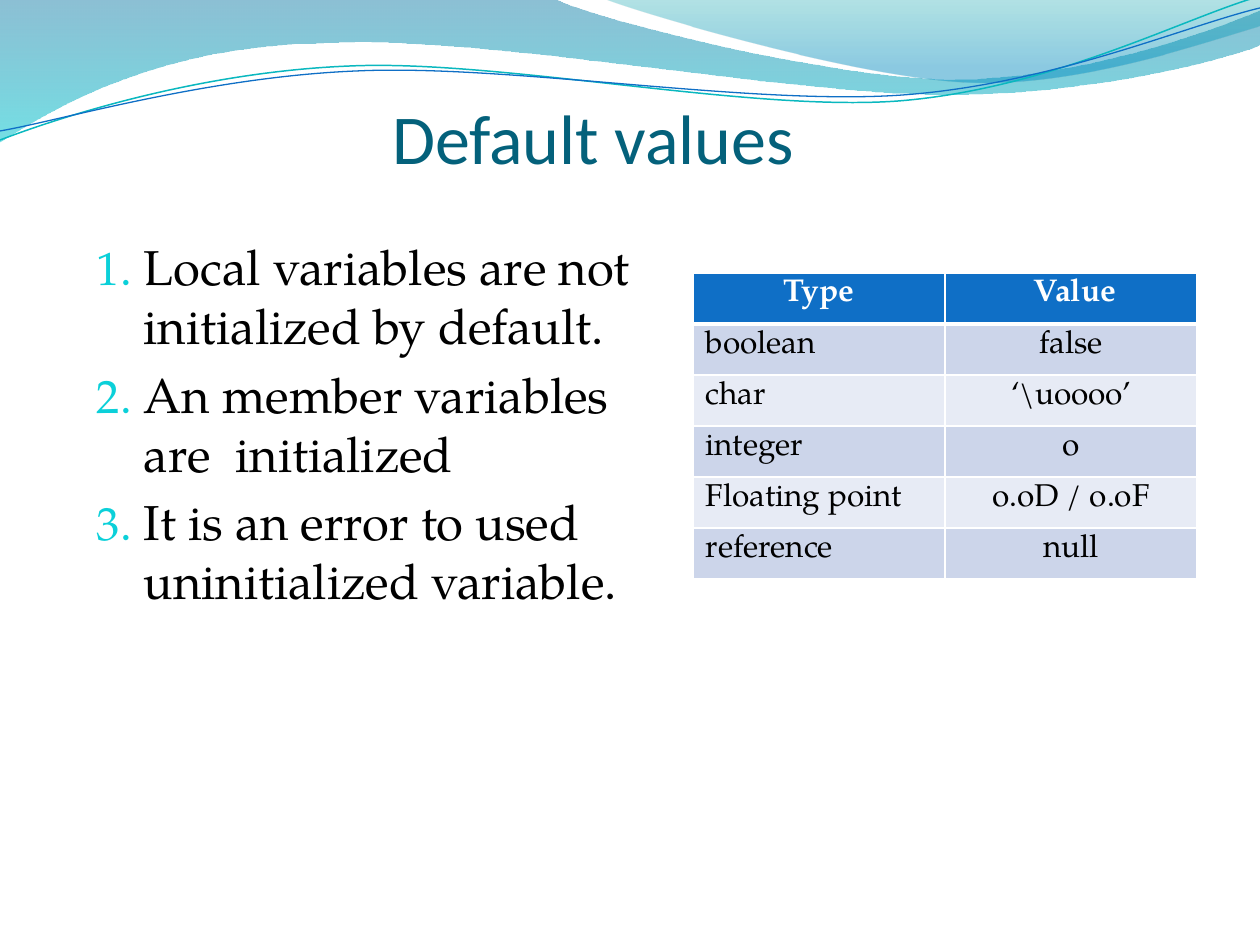
from lxml import etree
from pptx import Presentation
from pptx.dml.color import RGBColor
from pptx.enum.text import MSO_ANCHOR, PP_ALIGN
from pptx.oxml.ns import qn
from pptx.util import Pt

SCALE = 914400 / 126  # EMU per px
CENTER, LEFT = PP_ALIGN.CENTER, PP_ALIGN.LEFT
BOTTOM, TOP = MSO_ANCHOR.BOTTOM, MSO_ANCHOR.TOP

WHITE = RGBColor(0xFF, 0xFF, 0xFF)
BLACK = RGBColor(0x00, 0x00, 0x00)
TITLE_TEAL = RGBColor(0x04, 0x61, 0x7B)
NUMBER_CYAN = RGBColor(0x0B, 0xD0, 0xD9)
HEADER_BLUE = RGBColor(0x0F, 0x6F, 0xC6)
BAND_DARK = RGBColor(0xCC, 0xD5, 0xEA)
BAND_LIGHT = RGBColor(0xE7, 0xEB, 0xF5)
LINE_TEAL = RGBColor(0x0A, 0xB8, 0xBF)
WAVE_BLUE = RGBColor(0x00, 0x74, 0xA1)
WAVE_CYAN = RGBColor(0x00, 0xC6, 0xCF)
CREST_TEAL = RGBColor(0x00, 0xA1, 0xA9)
CREST_BLUE = RGBColor(0x00, 0x8B, 0xBF)

HEADING_FONT, BODY_FONT = "Calibri", "TeX Gyre Pagella"

# Outlines in px: a single point is a straight step, three points a cubic curve
WIDE_WAVE = [
    [(-1, -1)], [(554, -1)],
    [(600, 21), (837, 79), (955, 79)], [(1075, 79), (1207, 33), (1260, 11)],
    [(1261, 45)],
    [(1239, 55), (1096, 96), (940, 94)], [(784, 94), (481, 35), (324, 43)],
    [(163, 45), (58, 105), (-1, 142)],
]
CREST = [
    [(604, -1)],
    [(641, 14), (859, 78), (969, 82)], [(1079, 87), (1211, 40), (1260, 26)],
    [(1260, -1)],
]
TEAL_LINE = [
    [(0, 140)], [(60, 117), (199, 72), (349, 66)],
    [(498, 59), (747, 112), (898, 101)], [(1050, 89), (1182, 19), (1257, -3)],
]
BLUE_LINE = [
    [(0, 131)], [(59, 121), (207, 77), (357, 71)],
    [(508, 64), (752, 106), (903, 95)], [(1053, 84), (1185, 26), (1260, 8)],
]

RULES = [
    "Local variables are not initialized by default.",
    "An member variables are  initialized",
    "It is an error to used uninitialized variable.",
]
DEFAULTS = [
    ("Type", " Value"),
    ("boolean", "false"),
    ("char", "‘\\uoooo’"),
    ("integer", "o"),
    ("Floating point", "o.oD / o.oF"),
    ("reference", "null"),
]


def px(length):
    return round(length * SCALE)


def add_outline(slide, outline, closed):
    """Build the outline through its end points, then bend the curved steps."""
    steps = [[(px(x), px(y)) for x, y in step] for step in outline]
    builder = slide.shapes.build_freeform(*steps[0][0])
    builder.add_line_segments([step[-1] for step in steps[1:]], close=closed)
    shape = builder.convert_to_shape()
    shape.shadow.inherit = False
    segments = list(shape.element.iter(qn("a:lnTo")))
    for segment, step in zip(segments, steps[1:]):
        if len(step) == 3:
            curve = etree.Element(qn("a:cubicBezTo"))
            for x, y in step:
                etree.SubElement(curve, qn("a:pt"),
                                 x=str(x - shape.left), y=str(y - shape.top))
            segment.getparent().replace(segment, curve)
    return shape


def add_wave(slide, outline, stops):
    """Add a filled wave; stops are (position, colour, opacity in percent)."""
    shape = add_outline(slide, outline, closed=True)
    shape.line.fill.background()
    shape.fill.gradient()
    shape.fill.gradient_angle = 270  # top to bottom
    for stop, (position, color, _) in zip(shape.fill.gradient_stops, stops):
        stop.position = position
        stop.color.rgb = color
    for color_node, (_, _, opacity) in zip(shape.element.iter(qn("a:srgbClr")), stops):
        etree.SubElement(color_node, qn("a:alpha"), val=str(opacity * 1000))


def add_wave_line(slide, outline, color, width):
    shape = add_outline(slide, outline, closed=False)
    shape.fill.background()
    shape.line.color.rgb = color
    shape.line.width = Pt(width)


def style_paragraph(paragraph, font_name, size, color, alignment=LEFT, bold=False):
    paragraph.alignment = alignment
    for run in paragraph.runs:
        run.font.name = font_name
        run.font.size = Pt(size)
        run.font.color.rgb = color
        run.font.bold = bold


def add_text_frame(slide, box, margins, anchor):
    frame = slide.shapes.add_textbox(*map(px, box)).text_frame
    frame.word_wrap = True
    frame.vertical_anchor = anchor
    (frame.margin_left, frame.margin_top,
     frame.margin_right, frame.margin_bottom) = map(px, margins)
    return frame


def add_title(slide, text):
    frame = add_text_frame(slide, (94, 71, 998, 108), (0, 6, 0, 0), BOTTOM)
    frame.text = text
    style_paragraph(frame.paragraphs[0], HEADING_FONT, 40, TITLE_TEAL, CENTER)


def add_numbered_list(slide, items):
    frame = add_text_frame(slide, (94, 231, 557, 630), (3, 6, 3, 6), TOP)
    frame.text = "\n".join(items)
    for paragraph in frame.paragraphs:
        style_paragraph(paragraph, BODY_FONT, 28, BLACK)
        properties = paragraph._p.get_or_add_pPr()
        properties.set("marL", str(px(47)))
        properties.set("indent", str(px(-47)))
        space_before = etree.SubElement(properties, qn("a:spcBef"))
        etree.SubElement(space_before, qn("a:spcPct"), val="20000")
        number_color = etree.SubElement(properties, qn("a:buClr"))
        etree.SubElement(number_color, qn("a:srgbClr"), val=str(NUMBER_CYAN))
        etree.SubElement(properties, qn("a:buSzPct"), val="95000")
        etree.SubElement(properties, qn("a:buFont"), typeface=BODY_FONT)
        etree.SubElement(properties, qn("a:buAutoNum"), type="arabicPeriod")


def set_borders(cell, widths):
    """Draw white borders; widths are points by side (L, R, T, B)."""
    properties = cell._tc.get_or_add_tcPr()
    for side, width in zip("LRTB", widths):
        line = etree.SubElement(properties, qn(f"a:ln{side}"), w=str(Pt(width)))
        fill = etree.SubElement(line, qn("a:solidFill"))
        etree.SubElement(fill, qn("a:srgbClr"), val=str(WHITE))


def add_defaults_table(slide, rows):
    row_height = 51
    frame = slide.shapes.add_table(len(rows), 2, px(693), px(273),
                                   px(504), px(row_height * len(rows)))
    for r, row in enumerate(rows):
        header = r == 0
        band = HEADER_BLUE if header else BAND_DARK if r % 2 else BAND_LIGHT
        for c, text in enumerate(row):
            cell = frame.table.cell(r, c)
            cell.text_frame.text = text
            style_paragraph(cell.text_frame.paragraphs[0], BODY_FONT, 18,
                            WHITE if header else BLACK,
                            CENTER if header or c == 1 else LEFT, header)
            set_borders(cell, (1, 1, 3 if r == 1 else 1, 3 if header else 1))
            cell.fill.solid()
            cell.fill.fore_color.rgb = band


def main():
    presentation = Presentation()
    presentation.slide_width, presentation.slide_height = px(1260), px(945)
    slide = presentation.slides.add_slide(presentation.slide_layouts[6])

    # Waves along the top edge
    add_wave(slide, WIDE_WAVE, [(0, WAVE_BLUE, 45), (1, WAVE_CYAN, 55)])
    add_wave(slide, CREST, [(0, CREST_TEAL, 30), (0.8, CREST_BLUE, 45)])
    add_wave_line(slide, TEAL_LINE, LINE_TEAL, 0.85)
    add_wave_line(slide, BLUE_LINE, HEADER_BLUE, 0.75)

    # Content
    add_title(slide, "Default values")
    add_numbered_list(slide, RULES)
    add_defaults_table(slide, DEFAULTS)

    presentation.save("out.pptx")


if __name__ == "__main__":
    main()
